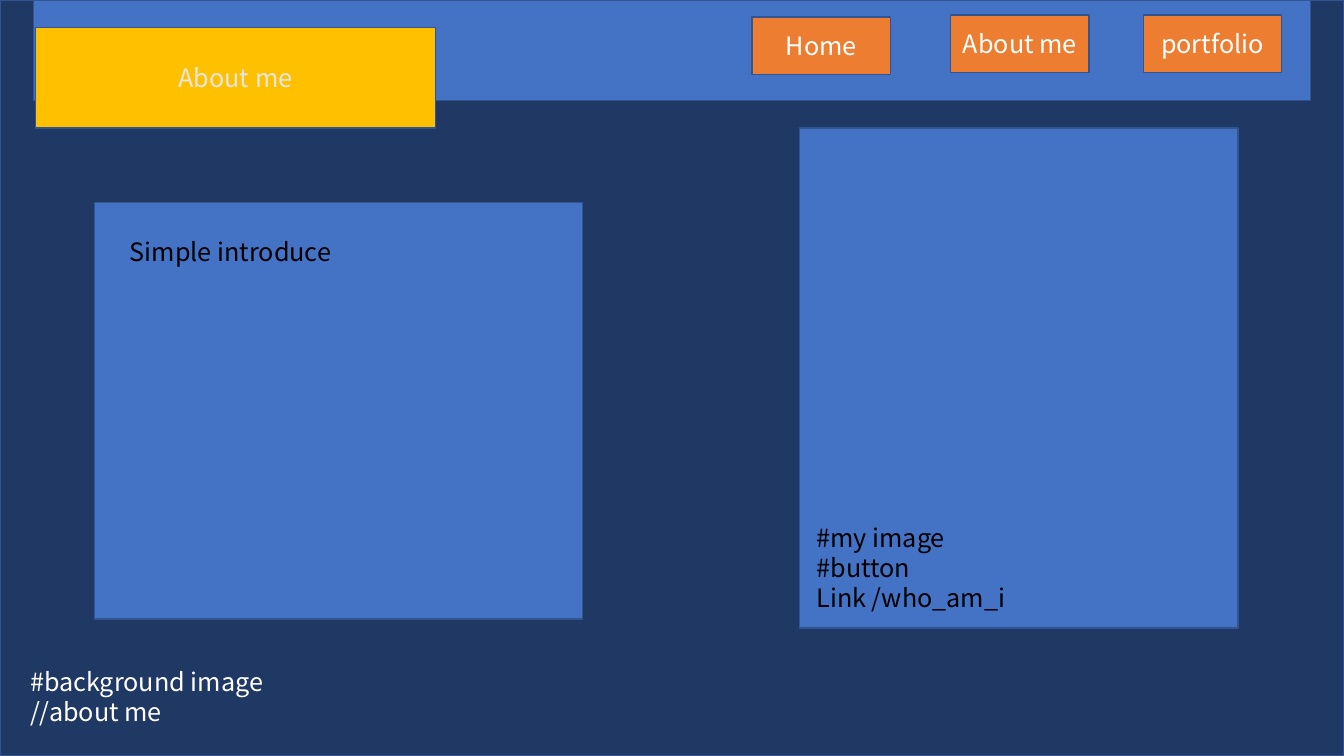
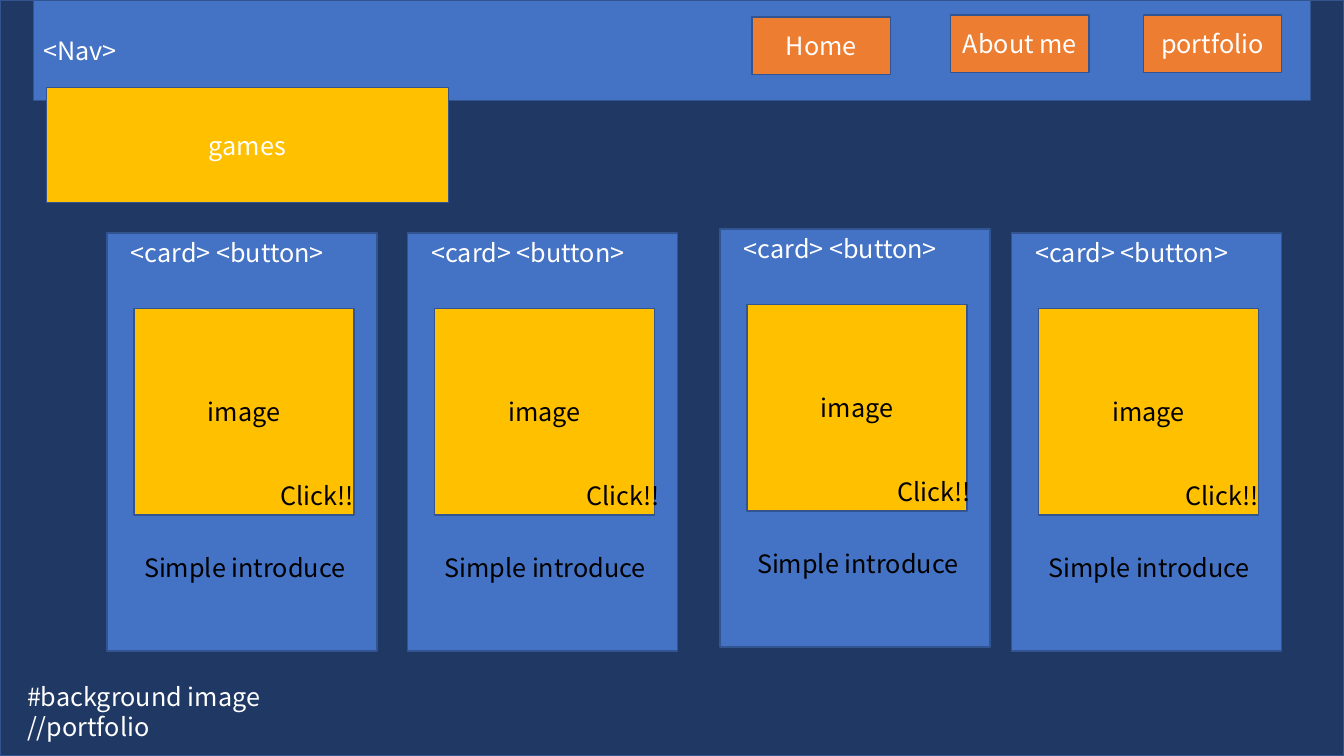
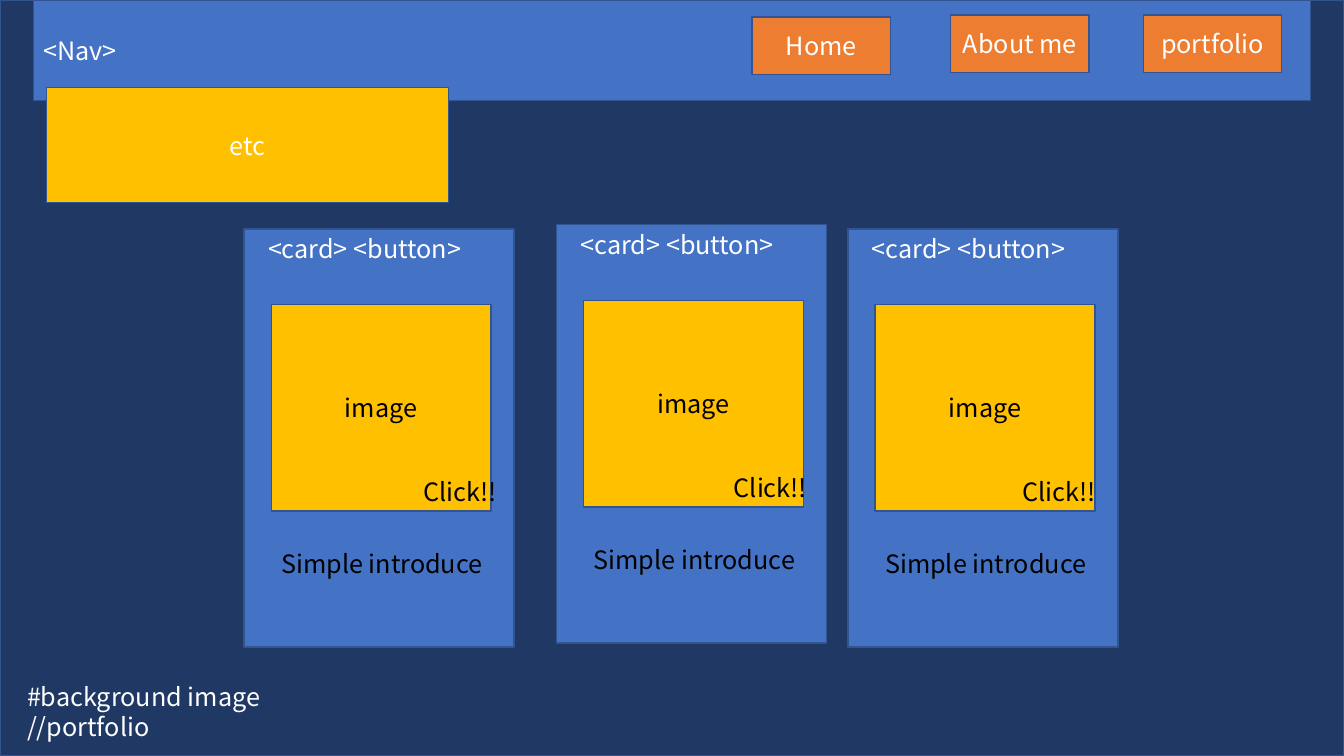
from pptx import Presentation
from pptx.dml.color import RGBColor
from pptx.enum.shapes import MSO_SHAPE
from pptx.enum.text import MSO_ANCHOR, MSO_AUTO_SIZE, PP_ALIGN
from pptx.util import Inches, Pt

COLORS = {
    "navy": "203864", "blue": "4472C4", "edge": "325491", "orange": "ED7D31",
    "gold": "FFC000", "white": "FFFFFF", "pale": "E7E6E6", "black": "000000",
}
FONT = "Noto Sans CJK KR"
FONT_SIZE = 18
SLIDE_SIZE = (13.33, 7.5)
TITLE_ONLY = 5

NAV_BAND = (0.33, 0, 12.67, 1)
NAV_SIZE = (1.37, 0.57)
NAV_BUTTONS = [("Home", 7.46, 0.17), ("About me", 9.43, 0.15), ("portfolio", 11.34, 0.15)]

ABOUT_PANELS = [(0.94, 2.01, 4.84, 4.13), (7.93, 1.27, 4.35, 4.96)]
ABOUT_TEXTS = [
    (["#my image", "#button", "Link /who_am_i"], (8, 5.13, 3.46, 1.01), "black"),
    (["Simple introduce"], (1.19, 2.3, 3.78, 0.4), "black"),
    (["#background image", "//about me"], (0.2, 6.56, 3.27, 0.71), "white"),
]

PORTFOLIO_TITLE = (0.46, 0.87, 3.99, 1.14)
PORTFOLIO_NOTE = (["#background image", "//portfolio"], (0.17, 6.71, 5.16, 0.71), "white")
# Left and top of each card, then how far its "Click!!" sits from the left edge
GAME_CARDS = [(1.06, 2.31, 1.62), (4.04, 2.31, 1.68), (7.14, 2.27, 1.66), (10.03, 2.31, 1.63)]
ETC_SHIFT = (-1.62, -0.04)
ETC_CARDS = [(left + ETC_SHIFT[0], top + ETC_SHIFT[1], click)
             for left, top, click in GAME_CARDS[1:]]
PORTFOLIO_PAGES = [("games", GAME_CARDS), ("etc", ETC_CARDS)]


def rgb(name):
    return RGBColor.from_string(COLORS[name])


def write(frame, lines, color, align):
    for index, line in enumerate(lines):
        para = frame.paragraphs[0] if index == 0 else frame.add_paragraph()
        para.alignment = align
        span = para.add_run()
        span.text = line
        span.font.name = FONT
        span.font.size = Pt(FONT_SIZE)
        span.font.color.rgb = rgb(color)


def paint(box, fill):
    box.fill.solid()
    box.fill.fore_color.rgb = rgb(fill)
    box.line.color.rgb = rgb("edge")
    box.line.width = Pt(1)


def add_box(page, at, fill, text=None, color="white", align=PP_ALIGN.CENTER):
    box = page.shapes.add_shape(MSO_SHAPE.RECTANGLE, *map(Inches, at))
    box.shadow.inherit = False
    paint(box, fill)
    if text:
        box.text_frame.vertical_anchor = MSO_ANCHOR.MIDDLE
        write(box.text_frame, [text], color, align)


def add_text(page, lines, at, color):
    frame = page.shapes.add_textbox(*map(Inches, at)).text_frame
    frame.word_wrap = True
    frame.auto_size = MSO_AUTO_SIZE.SHAPE_TO_FIT_TEXT
    write(frame, lines, color, PP_ALIGN.LEFT)


def place_title(page, text, at, color):
    """Format the title placeholder and bring it in front of the band."""
    title = page.shapes.title
    title.left, title.top, title.width, title.height = map(Inches, at)
    paint(title, "gold")
    frame = title.text_frame
    frame.auto_size = MSO_AUTO_SIZE.NONE
    frame.vertical_anchor = MSO_ANCHOR.MIDDLE
    write(frame, [text], color, PP_ALIGN.CENTER)
    title.element.getparent().append(title.element)


def add_page(deck, title, title_at, title_color="white", band_text=None):
    """Add a slide with the backdrop, navigation band and title."""
    page = deck.slides.add_slide(deck.slide_layouts[TITLE_ONLY])
    add_box(page, (0, 0, *SLIDE_SIZE), "navy")
    add_box(page, NAV_BAND, "blue", band_text, align=PP_ALIGN.LEFT)
    for label, left, top in NAV_BUTTONS:
        add_box(page, (left, top, *NAV_SIZE), "orange", label)
    place_title(page, title, title_at, title_color)
    return page


def add_card(page, left, top, click):
    add_box(page, (left, top, 2.68, 4.15), "blue")
    add_text(page, ["<card> <button>"], (left + 0.14, top, 2.18, 0.71), "white")
    add_box(page, (left + 0.27, top + 0.75, 2.18, 2.05), "gold", "image", "black")
    add_text(page, ["Simple introduce"], (left + 0.27, top + 3.12, 2.32, 0.4), "black")
    add_text(page, ["Click!!"], (left + click, top + 2.41, 1.09, 0.4), "black")


def main():
    deck = Presentation()
    deck.slide_width, deck.slide_height = map(Inches, SLIDE_SIZE)

    about = add_page(deck, "About me", (0.35, 0.27, 3.97, 1), "pale")
    for panel in ABOUT_PANELS:
        add_box(about, panel, "blue")
    for lines, at, color in ABOUT_TEXTS:
        add_text(about, lines, at, color)

    for title, cards in PORTFOLIO_PAGES:
        page = add_page(deck, title, PORTFOLIO_TITLE, band_text="<Nav>")
        for card in cards:
            add_card(page, *card)
        add_text(page, *PORTFOLIO_NOTE)

    deck.save("out.pptx")


if __name__ == "__main__":
    main()
